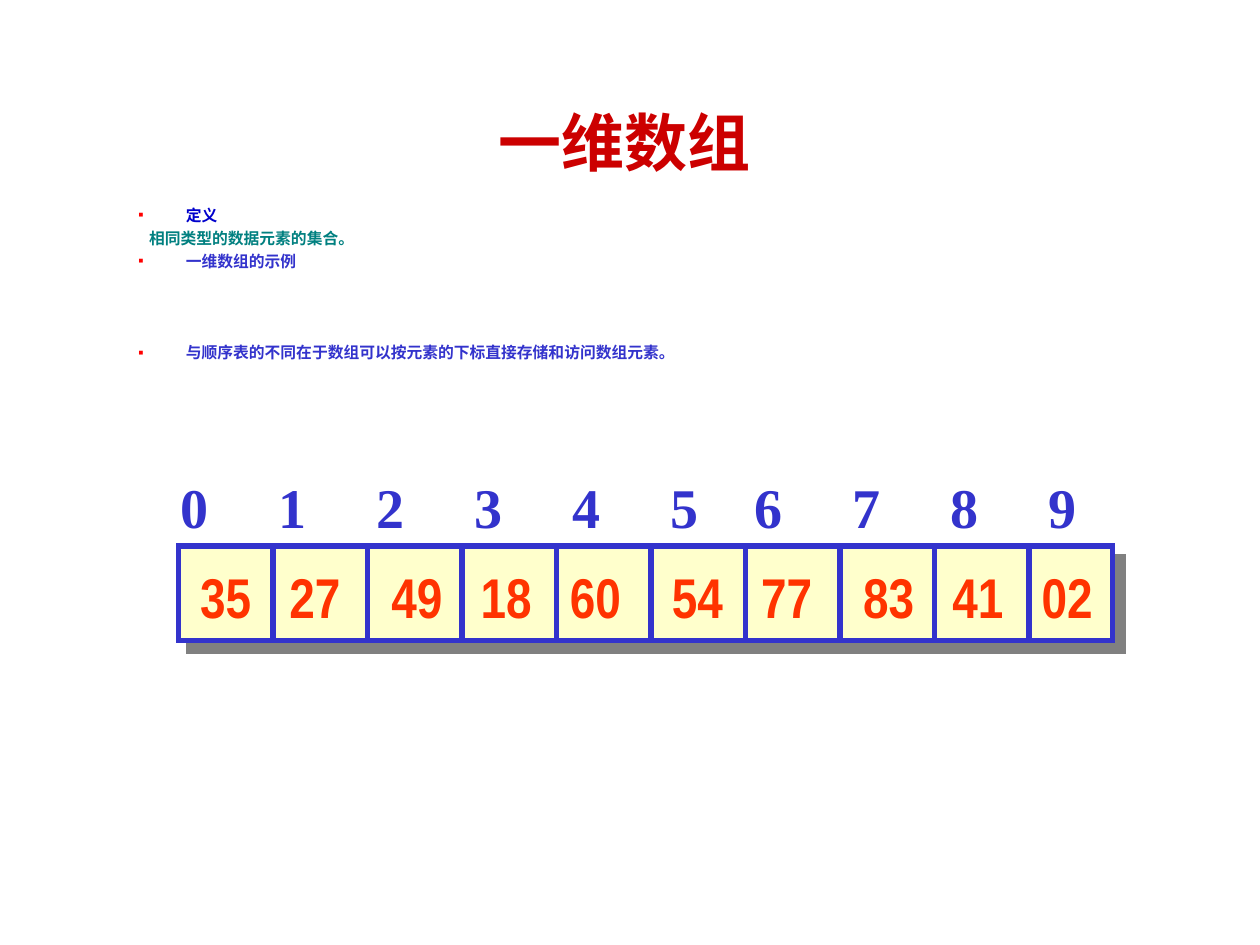
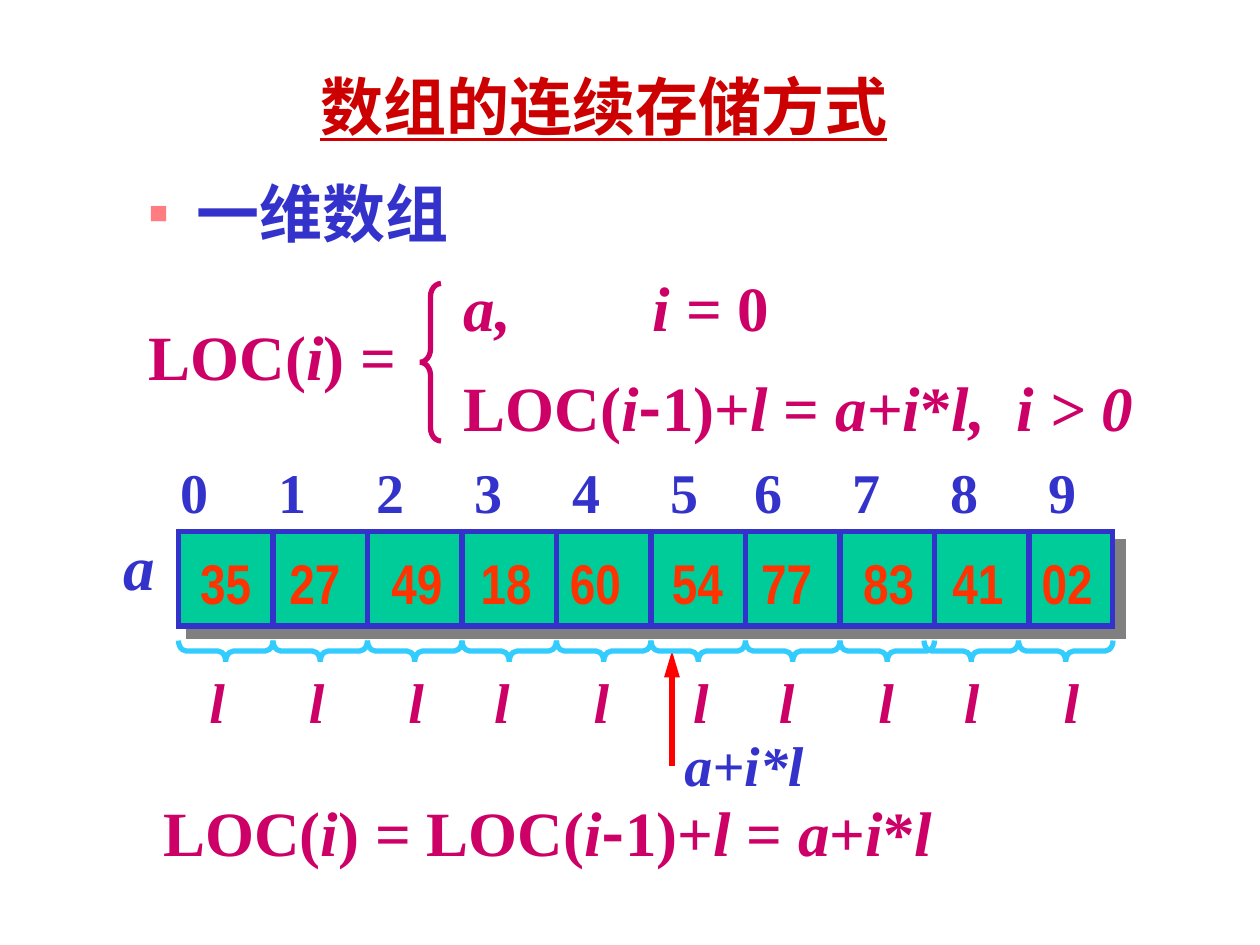
"""Two slides on one-dimensional arrays and their contiguous storage."""
from itertools import accumulate
from lxml import etree
from pptx import Presentation, util as u
from pptx.dml.color import RGBColor
from pptx.enum import lang, shapes, text
from pptx.oxml import ns

PX = 9525
RED, BLUE, PINK, ORANGE = "CC0000", "3333CC", "CC0066", "FF3300"
SERIF, NARROW, CJK = "Times New Roman", "Arial Narrow", "Noto Sans CJK SC"
BOX_X, BOX_W, CELL = 136, 712, 72


def color(value):
    """Turn a hex string into a colour."""
    return RGBColor.from_string(value)


def put(p, words, size=36, hue=PINK, font=SERIF, underline=False):
    """Add bold runs to a paragraph; text between underscores is italic."""
    for k, piece in enumerate(words.split("_")):
        for part in piece.partition("-"):
            if part:
                r = p.add_run()
                r.text = part
                f = r.font
                f.name = CJK if part == "-" else font
                f.size, f.bold, f.italic = u.Pt(size), True, k % 2 == 1
                f.underline = underline
                f.color.rgb = color(hue)
                f.language_id = lang.MSO_LANGUAGE_ID.SIMPLIFIED_CHINESE


prs = Presentation()
prs.slide_width, prs.slide_height = 960 * PX, 720 * PX

# fields of a body item: words, size, colour, space before, indent, bullet colour
pages = [
    dict(title="一维数组", title_at=(136, 64, 680, 88), underline=False,
         body_at=(96, 152, 808, 152), top=416, fill="FFFFCC", arrows=[],
         items=[("定义", 9, "0000CC", 2.2, 36, "FF0000"),
                ("相同类型的数据元素的集合。", 9, "008080", 2.2, 8, None),
                ("一维数组的示例", 9, BLUE, 2.2, 36, "FF0000"),
                ("与顺序表的不同在于数组可以按元素的下标直接存储和访问数组元素。",
                 9, BLUE, 41.4, 36, "FF0000")]),
    dict(title="数组的连续存储方式", title_at=(208, 40, 504, 80), underline=True,
         body_at=(104, 128, 344, 72), top=405, fill="00CC99",
         arrows=[(512, 584, 512, 496, "FF0000")],
         items=[("一维数组", 36, BLUE, 9, 36, "FF7C80")]),
]
values = "\t".join(["35", "27", "49", "18", "60", "54", "77", "83", "41", "02"])
indexes = "\t".join(str(k) for k in range(10))
lengths = "_" + "\t".join("l" * 10) + "_"
value_tabs = list(accumulate(38.9 + 9.7 * n for n in (3, 4, 3, 3, 4, 3, 4, 3, 3)))
index_tabs = list(accumulate(21.33 + 10.67 * n for n in (5, 5, 5, 5, 5, 4, 5, 5, 5)))
length_tabs = list(accumulate(11.86 + 10.67 * n for n in (6, 6, 5, 6, 6, 5, 6, 5, 6)))

labels, outlined = [], []
for page in pages:
    s = page["slide"] = prs.slides.add_slide(prs.slide_layouts[1])
    title, body = s.shapes.title, s.placeholders[1]
    for sp, at in ((title, page["title_at"]), (body, page["body_at"])):
        sp.left, sp.top, sp.width, sp.height = [n * PX for n in at]
        sp.text_frame.auto_size = text.MSO_AUTO_SIZE.NONE
    title.text_frame.vertical_anchor = text.MSO_ANCHOR.MIDDLE
    p = title.text_frame.paragraphs[0]
    p.alignment = text.PP_ALIGN.CENTER
    put(p, page["title"], hue=RED, underline=page["underline"])

    tf = body.text_frame
    tf.vertical_anchor = text.MSO_ANCHOR.TOP
    for k, (words, size, hue, before, indent, bullet) in enumerate(page["items"]):
        p = tf.add_paragraph() if k else tf.paragraphs[0]
        p.space_before = u.Pt(before)
        put(p, words, size, hue)
        pPr = p._p.get_or_add_pPr()
        pPr.set("marL", str(indent * PX))
        pPr.set("indent", str(-indent * PX if bullet else 0))
        if bullet:
            clr = etree.SubElement(pPr, ns.qn("a:buClr"))
            etree.SubElement(clr, ns.qn("a:srgbClr"), val=bullet)
            etree.SubElement(pPr, ns.qn("a:buSzPct"), val="50000")
            etree.SubElement(pPr, ns.qn("a:buChar"), char="■")
        else:
            etree.SubElement(pPr, ns.qn("a:buNone"))

    top = page["top"]
    sp = s.shapes.add_shape(shapes.MSO_SHAPE.RECTANGLE, BOX_X * PX, top * PX,
                            BOX_W * PX, CELL * PX)
    sp.shadow.inherit = False
    shadow = etree.SubElement(sp._element.spPr.find(ns.qn("a:effectLst")),
                              ns.qn("a:outerShdw"), dist=str(u.Pt(8.5)), dir="2700000")
    etree.SubElement(shadow, ns.qn("a:srgbClr"), val="808080")
    sp.fill.solid()
    sp.fill.fore_color.rgb = color(page["fill"])
    outlined.append((sp, BLUE))

    labels += [(s, 143, top + 8, 701, values, 32, ORANGE, NARROW, value_tabs),
               (s, 128, top - 61, 703, indexes, 32, BLUE, SERIF, index_tabs)]

labels += [(s, x, y, w, words, size, hue, SERIF, tabs) for x, y, w, words, size, hue, tabs in [
    (150, 504, 704, lengths, 32, PINK, length_tabs),
    (115, 600, 805, "LOC(_i_) = LOC(_i_-1)+_l_ = _a_+_i_*_l_", 36, PINK, []),
    (104, 237, 216, "LOC(_i_) =", 36, PINK, []),
    (344, 276, 552, "LOC(_i_-1)+_l_ = _a_+_i_*_l,\ti > 0_", 36, PINK, [421]),
    (344, 200, 312, "_a,\ti_ = 0", 36, PINK, [144]),
    (512, 552, 110, "_a+i*l_", 32, BLUE, []),
    (85, 397, 43, "_a_", 36, BLUE, []),
]]
for s, x, y, w, words, size, hue, font, tabs in labels:
    sp = s.shapes.add_textbox(x * PX, y * PX, w * PX, (67 if size == 36 else 61) * PX)
    if font == NARROW and s is pages[0]["slide"]:
        sp.fill.solid()
        sp.fill.fore_color.rgb = color(pages[0]["fill"])
    tf = sp.text_frame
    tf.word_wrap = bool(tabs)
    p = tf.paragraphs[0]
    put(p, words, size, hue, font)
    if tabs:
        stops = etree.SubElement(p._p.get_or_add_pPr(), ns.qn("a:tabLst"))
        for tab in tabs:
            etree.SubElement(stops, ns.qn("a:tab"), pos=str(round(tab * PX)), algn="l")

for page in pages:
    top = page["top"]
    dividers = [(BOX_X + CELL * k, top, BOX_X + CELL * k, top + CELL, BLUE)
                for k in range(1, 10)]
    for *ends, hue in dividers + page["arrows"]:
        c = page["slide"].shapes.add_connector(shapes.MSO_CONNECTOR.STRAIGHT,
                                               *[n * PX for n in ends])
        c.line.color.rgb = color(hue)
        c.line.width = u.Pt(3)
        spPr = c._element.spPr
        if hue != BLUE:
            etree.SubElement(spPr.find(ns.qn("a:ln")), ns.qn("a:tailEnd"),
                             type="triangle", len="lg")
        etree.SubElement(spPr, ns.qn("a:effectLst"))

braces = [(164 + CELL * k - (8 if k > 7 else 0), 460, 72, 270, "33CCFF") for k in range(10)]
braces.append((320, 216, 120, 0, PINK))
for x, y, h, turn, hue in braces:
    sp = s.shapes.add_shape(shapes.MSO_SHAPE.LEFT_BRACE, x * PX, y * PX, 16 * PX, h * PX)
    sp.adjustments[0] = h / 16 / 12
    sp.rotation = turn
    sp.shadow.inherit = False
    sp.fill.background()
    outlined.append((sp, hue))

for sp, hue in outlined:
    sp.line.color.rgb = color(hue)
    sp.line.width = u.Pt(3)
    etree.SubElement(sp._element.spPr.find(ns.qn("a:ln")), ns.qn("a:miter"), lim="800000")

prs.save("out.pptx")
